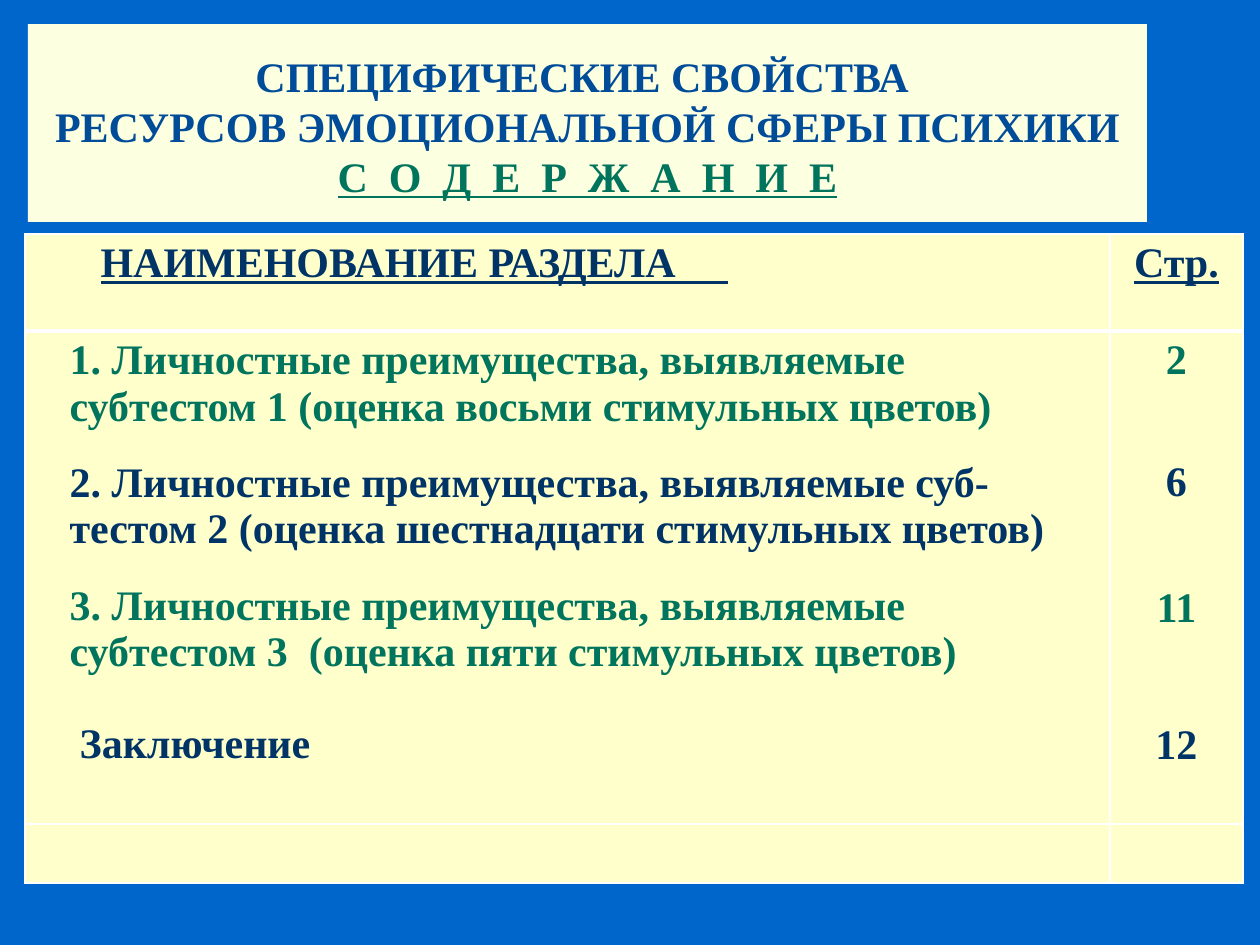
from pptx import Presentation
from pptx.dml.color import RGBColor
from pptx.enum.text import MSO_ANCHOR, PP_ALIGN
from pptx.oxml.ns import qn
from pptx.util import Emu, Pt
from lxml.etree import SubElement

"""Builds the contents slide: a title panel above a table of sections."""

NAVY, GREEN, BLUE = "003366", "00745C", "004C99"
CREAM, PALE, WHITE, BACK = "FFFFCC", "FDFFE1", "FFFFFF", "0066CC"
TITLE = [
    ("СПЕЦИФИЧЕСКИЕ СВОЙСТВА ", dict(color=BLUE)),
    ("РЕСУРСОВ ЭМОЦИОНАЛЬНОЙ СФЕРЫ ПСИХИКИ", dict(color=BLUE)),
    ("С  О  Д  Е  Р  Ж  А  Н  И  Е", dict(color=GREEN, underline=True)),
]
HEAD = [
    [("НАИМЕНОВАНИЕ РАЗДЕЛА     ", dict(underline=True, indent=63))],
    [("Стр.", dict(underline=True, align=PP_ALIGN.CENTER))],
]
SECTIONS = [
    (["1. Личностные преимущества, выявляемые",
      "субтестом 1 (оценка восьми стимульных цветов)"], "2", GREEN, 32, 0, 0),
    (["2. Личностные преимущества, выявляемые суб-",
      "тестом 2 (оценка шестнадцати стимульных цветов)"], "6", NAVY, 32, 30, 75),
    (["3. Личностные преимущества, выявляемые",
      "субтестом 3  (оценка пяти стимульных цветов)"], "11", GREEN, 32, 30, 80),
    (["Заключение"], "12", NAVY, 42, 45, 91),
]
COLS, ROWS = [1085, 133], [97, 493, 59]


def px(n):
    return Emu(round(n * 914400 / 126))


def rgb(value):
    return RGBColor.from_string(value)


def add_text(tf, text, first=False, color=NAVY, underline=False, indent=0,
             before=0, pitch=None, align=PP_ALIGN.LEFT):
    p = tf.paragraphs[0] if first else tf.add_paragraph()
    p.alignment = align
    p.space_before = px(before)
    p.space_after = Pt(0)
    if pitch:
        p.line_spacing = px(pitch)
    pPr = p._p.get_or_add_pPr()
    pPr.set("marL", str(px(indent)))
    pPr.set("indent", "0")
    r = p.add_run()
    r.text = text
    r.font.name, r.font.size, r.font.bold = "Times New Roman", Pt(24), True
    r.font.underline = underline
    r.font.color.rgb = rgb(color)


def add_lines(tf, lines, **shared):
    for i, (text, fmt) in enumerate(lines):
        add_text(tf, text, first=i == 0, **shared, **fmt)


def style_cell(cell, top, bottom):
    tcPr = cell._tc.get_or_add_tcPr()
    for side, width in (("L", 1), ("R", 1), ("T", top), ("B", bottom)):
        ln = SubElement(tcPr, qn("a:ln" + side), w=str(Pt(width)))
        fill = SubElement(ln, qn("a:solidFill"))
        SubElement(fill, qn("a:srgbClr"), val=WHITE)
    cell.fill.solid()
    cell.fill.fore_color.rgb = rgb(CREAM)


prs = Presentation()
prs.slide_width, prs.slide_height = px(1260), px(945)
s = prs.slides.add_slide(prs.slide_layouts[5])
s.background.fill.solid()
s.background.fill.fore_color.rgb = rgb(BACK)

title = s.shapes.title
title.left, title.top, title.width, title.height = map(px, (28, 24, 1119, 198))
title.fill.solid()
title.fill.fore_color.rgb = rgb(PALE)
tf = title.text_frame
tf.word_wrap = True
tf.vertical_anchor = MSO_ANCHOR.TOP
tf.margin_top = px(27)
add_lines(tf, TITLE, pitch=50, align=PP_ALIGN.CENTER)

names, pages = [], []
for lines, page, color, indent, gap, page_gap in SECTIONS:
    for i, line in enumerate(lines):
        names.append((line, dict(color=color, indent=indent,
                                 before=0 if i else gap)))
    pages.append((page, dict(color=color, before=page_gap,
                             align=PP_ALIGN.CENTER)))

table = s.shapes.add_table(len(ROWS), len(COLS), px(25), px(234),
                           px(sum(COLS)), px(sum(ROWS))).table
for col, width in zip(table.columns, COLS):
    col.width = px(width)
for row, height in zip(table.rows, ROWS):
    row.height = px(height)
for r, contents in enumerate([HEAD, [names, pages], [[], []]]):
    for c, lines in enumerate(contents):
        cell = table.cell(r, c)
        style_cell(cell, 3 if r == 1 else 1, 3 if r == 0 else 1)
        add_lines(cell.text_frame, lines)

prs.save("out.pptx")
